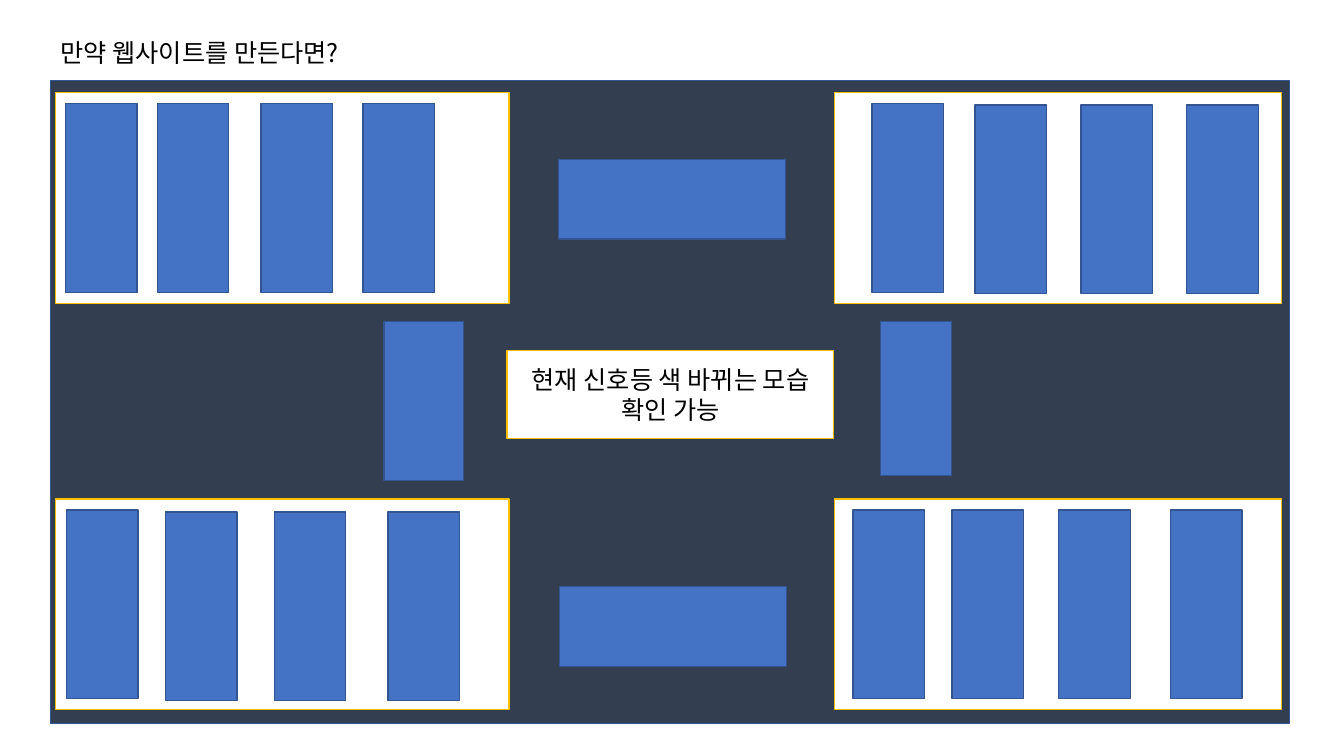
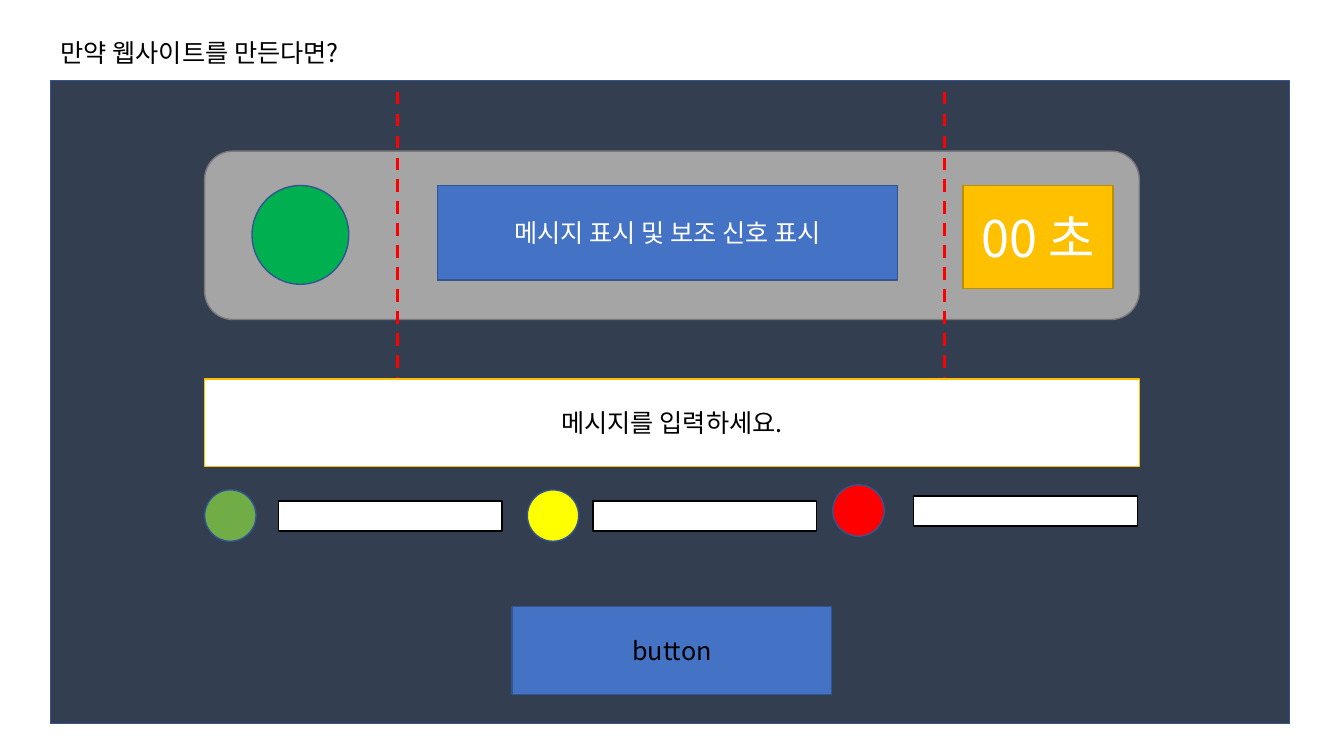
from dataclasses import dataclass

from lxml import etree
from pptx import Presentation
from pptx import util as u
from pptx.dml.color import RGBColor
from pptx.enum import dml, shapes, text
from pptx.oxml.ns import qn


@dataclass(frozen=True)
class Theme:
    font: str = "Noto Sans CJK KR"
    body: int = 18
    counter: int = 36
    line: float = 1
    divider: float = 2.25
    black: str = "000000"
    white: str = "FFFFFF"
    board: str = "333F50"
    blue: str = "4472C4"
    navy: str = "325491"
    gold: str = "FFC000"
    dark_gold: str = "BD8E00"
    gray: str = "A5A5A5"
    dark_gray: str = "7A7A7A"
    signal_green: str = "00B050"
    green: str = "70AD47"
    yellow: str = "FFFF00"
    red: str = "FF0000"


THEME = Theme()
RECT = shapes.MSO_SHAPE.RECTANGLE
ROUNDED = shapes.MSO_SHAPE.ROUNDED_RECTANGLE
OVAL = shapes.MSO_SHAPE.OVAL

SLIDE_SIZE = (13.33, 7.5)
TITLE = "만약 웹사이트를 만든다면?"
TITLE_BOX = (0.5, 0.32, 3.56, 0.4)
BOARD_BOX = (0.5, 0.8, 12.29, 6.38)

BLOCK_HEIGHT = 2.09
BLOCK_COLUMNS = {"left": (0.55, 4.5), "right": (8.28, 4.43)}
BLOCK_ROWS = {"top": 0.92, "bottom": 4.95}
LANE_SIZE = (0.71, 1.87)
LANES = {
    ("left", "top"): [(0.65, 1.03), (1.56, 1.03), (2.59, 1.03), (3.6, 1.03)],
    ("right", "top"): [(8.65, 1.03), (9.67, 1.04), (10.72, 1.04), (11.77, 1.04)],
    ("right", "bottom"): [(8.46, 5.06), (9.44, 5.06), (10.5, 5.06), (11.61, 5.06)],
    ("left", "bottom"): [(0.66, 5.06), (1.64, 5.08), (2.72, 5.08), (3.85, 5.08)],
}
CROSSINGS = [
    (8.73, 3.19, 0.71, 1.53),
    (5.55, 5.82, 2.25, 0.79),
    (5.54, 1.58, 2.25, 0.79),
    (3.81, 3.19, 0.79, 1.58),
]
STATUS = ("현재 신호등 색 바뀌는 모습 확인 가능", (5.03, 3.48, 3.24, 0.87))

PANEL_LEFT, PANEL_WIDTH = 2.03, 9.27
DIVIDERS = [3.94, 9.37]
DIVIDER_SPAN = (0.91, 4.15)
DISPLAY_TOP = 1.84
COUNTER = "00 초"
DISPLAY = "메시지 표시 및 보조 신호 표시"
PROMPT = "메시지를 입력하세요."
BUTTON = "button"
LAMP_SIZE = 0.51
FIELD_SIZE = (2.22, 0.3)
FIELD_DROP = 0.11
SIGNALS = [
    (THEME.green, 2.03, 2.76, 4.86),
    (THEME.yellow, 5.23, 5.88, 4.86),
    (THEME.red, 8.26, 9.06, 4.81),
]


def inches(values):
    return [u.Inches(value) for value in values]


def write_text(shape, content, size=THEME.body, color=THEME.black,
               align=text.PP_ALIGN.CENTER, anchor=text.MSO_ANCHOR.MIDDLE):
    frame = shape.text_frame
    frame.word_wrap = True
    frame.auto_size = text.MSO_AUTO_SIZE.NONE
    frame.vertical_anchor = anchor
    paragraph = frame.paragraphs[0]
    paragraph.alignment = align
    run = paragraph.add_run()
    run.text = content
    run.font.size = u.Pt(size)
    run.font.color.rgb = RGBColor.from_string(color)
    run.font.name = THEME.font
    latin = run.font._element.find(qn("a:latin"))
    east_asian = etree.Element(qn("a:ea"), typeface=THEME.font)
    latin.addnext(east_asian)


def add_box(slide, box, fill=THEME.blue, line=THEME.navy, kind=RECT, content=None, **text_format):
    shape = slide.shapes.add_shape(kind, *inches(box))
    shape.shadow.inherit = False
    shape.fill.solid()
    shape.fill.fore_color.rgb = RGBColor.from_string(fill)
    shape.line.color.rgb = RGBColor.from_string(line)
    shape.line.width = u.Pt(THEME.line)
    if content:
        write_text(shape, content, **text_format)
    return shape


def add_divider(slide, x):
    top, bottom = DIVIDER_SPAN
    divider = slide.shapes.add_connector(shapes.MSO_CONNECTOR.STRAIGHT, *inches((x, top, x, bottom)))
    divider.line.color.rgb = RGBColor.from_string(THEME.red)
    divider.line.width = u.Pt(THEME.divider)
    divider.line.dash_style = dml.MSO_LINE.DASH
    etree.SubElement(divider._element.spPr, qn("a:effectLst"))


def add_board_slide(presentation):
    slide = presentation.slides.add_slide(presentation.slide_layouts[5])
    title = slide.shapes.title
    title.left, title.top, title.width, title.height = inches(TITLE_BOX)
    write_text(title, TITLE, align=text.PP_ALIGN.LEFT, anchor=text.MSO_ANCHOR.TOP)
    add_box(slide, BOARD_BOX, THEME.board)
    return slide


def build_intersection(presentation):
    slide = add_board_slide(presentation)
    for column, row in LANES:
        left, width = BLOCK_COLUMNS[column]
        add_box(slide, (left, BLOCK_ROWS[row], width, BLOCK_HEIGHT), THEME.white, THEME.gold)
    for lanes in LANES.values():
        for position in lanes:
            add_box(slide, position + LANE_SIZE)
    for crossing in CROSSINGS:
        add_box(slide, crossing)
    content, box = STATUS
    add_box(slide, box, THEME.white, THEME.gold, content=content)


def build_control_panel(presentation):
    slide = add_board_slide(presentation)
    add_box(slide, (PANEL_LEFT, 1.5, PANEL_WIDTH, 1.67), THEME.gray, THEME.dark_gray, ROUNDED)
    for x in DIVIDERS:
        add_divider(slide, x)
    add_box(slide, (2.5, DISPLAY_TOP, 0.96, 0.98), THEME.signal_green, kind=OVAL)
    add_box(slide, (9.55, DISPLAY_TOP, 1.49, 1.02), THEME.gold, THEME.dark_gold,
            content=COUNTER, size=THEME.counter, color=THEME.white)
    add_box(slide, (4.34, DISPLAY_TOP, 4.56, 0.94), content=DISPLAY, color=THEME.white)
    add_box(slide, (PANEL_LEFT, 3.76, PANEL_WIDTH, 0.87), THEME.white, THEME.gold, content=PROMPT)
    for color, lamp_left, field_left, top in SIGNALS:
        add_box(slide, (lamp_left, top, LAMP_SIZE, LAMP_SIZE), color, kind=OVAL)
        add_box(slide, (field_left, top + FIELD_DROP, *FIELD_SIZE), THEME.white, THEME.black)
    add_box(slide, (5.08, 6.02, 3.17, 0.87), content=BUTTON)


def main():
    presentation = Presentation()
    presentation.slide_width, presentation.slide_height = inches(SLIDE_SIZE)
    build_intersection(presentation)
    build_control_panel(presentation)
    presentation.save("out.pptx")


if __name__ == "__main__":
    main()
